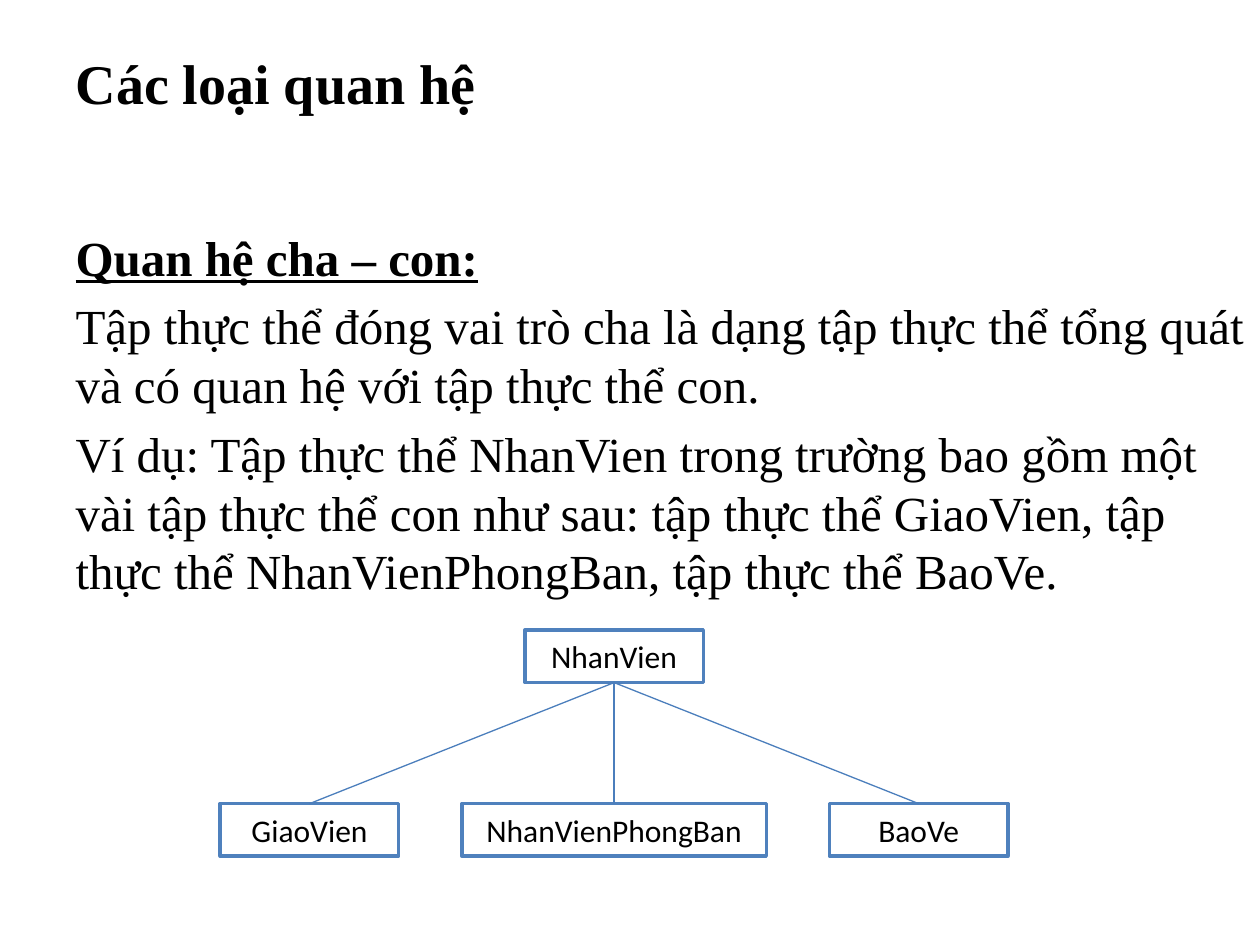
from lxml import etree
from pptx import Presentation
from pptx.dml.color import RGBColor
from pptx.enum.shapes import MSO_CONNECTOR, MSO_SHAPE
from pptx.enum.text import MSO_ANCHOR, MSO_AUTO_SIZE, PP_ALIGN
from pptx.oxml.ns import qn
from pptx.util import Cm, Pt

BLACK = RGBColor(0x00, 0x00, 0x00)
WHITE = RGBColor(0xFF, 0xFF, 0xFF)
BOX_BLUE = RGBColor(0x4F, 0x81, 0xBD)
LINE_BLUE = RGBColor(0x4B, 0x7E, 0xBC)

RECTANGLE = MSO_SHAPE.RECTANGLE
STRAIGHT = MSO_CONNECTOR.STRAIGHT
TOP, MIDDLE = MSO_ANCHOR.TOP, MSO_ANCHOR.MIDDLE
LEFT, CENTER = PP_ALIGN.LEFT, PP_ALIGN.CENTER
NO_AUTOFIT = MSO_AUTO_SIZE.NONE

SERIF, SANS = "Times New Roman", "Calibri"
BOX_HEIGHT = 1.06
PARENT_TOP, CHILD_TOP = 12.7, 16.2
TREE_CENTER, CHILD_STEP = 12.38, 6.14
BOTTOM_SITE, TOP_SITE = 2, 0

HEADING = "Quan hệ cha – con:"
SENTENCES = [
    "Tập thực thể đóng vai trò cha là dạng tập thực thể tổng quát "
    "và có quan hệ với tập thực thể con.",
    "Ví dụ: Tập thực thể NhanVien trong trường bao gồm một vài tập thực thể "
    "con như sau: tập thực thể GiaoVien, tập thực thể NhanVienPhongBan, "
    "tập thực thể BaoVe.",
]
CHILDREN = [("GiaoVien", 3.6), ("NhanVienPhongBan", 6.14), ("BaoVe", 3.6)]


def write(paragraph, text, size, font=SERIF, bold=False, underline=False,
          align=LEFT, before=0):
    paragraph.text = text
    paragraph.alignment = align
    paragraph.space_before = Pt(before)
    paragraph.font.name = font
    paragraph.font.size = Pt(size)
    paragraph.font.bold = bold
    paragraph.font.underline = underline
    paragraph.font.color.rgb = BLACK


def remove_bullet(paragraph):
    properties = paragraph._p.get_or_add_pPr()
    properties.set("marL", "0")
    properties.set("indent", "0")
    etree.SubElement(properties, qn("a:buNone"))


def place(shape, left, top, width, height):
    shape.left, shape.top = Cm(left), Cm(top)
    shape.width, shape.height = Cm(width), Cm(height)
    shape.text_frame.auto_size = NO_AUTOFIT
    shape.text_frame.vertical_anchor = TOP


def fill_title(title):
    place(title, 1.27, 0.76, 22.86, 3.18)
    title.text_frame.margin_top = Cm(0.22)
    write(title.text_frame.paragraphs[0], "Các loại quan hệ", 32, bold=True)


def fill_body(body):
    place(body, 1.27, 4.45, 24.13, 14.6)
    frame = body.text_frame
    heading = frame.paragraphs[0]
    remove_bullet(heading)
    write(heading, HEADING, 28, bold=True, underline=True)
    for sentence in SENTENCES:
        paragraph = frame.add_paragraph()
        remove_bullet(paragraph)
        write(paragraph, sentence, 28, before=5.6)


def add_entity(slide, name, center, top, width):
    box = slide.shapes.add_shape(RECTANGLE, Cm(center - width / 2), Cm(top),
                                 Cm(width), Cm(BOX_HEIGHT))
    box.shadow.inherit = False
    box.fill.solid()
    box.fill.fore_color.rgb = WHITE
    box.line.color.rgb = BOX_BLUE
    box.line.width = Pt(2)
    box.text_frame.vertical_anchor = MIDDLE
    write(box.text_frame.paragraphs[0], name, 18, font=SANS, align=CENTER)
    return box


def join(slide, parent, child):
    connector = slide.shapes.add_connector(STRAIGHT, 0, 0, 0, 0)
    connector.begin_connect(parent, BOTTOM_SITE)
    connector.end_connect(child, TOP_SITE)
    connector.line.color.rgb = LINE_BLUE
    connector.line.width = Pt(0.75)
    etree.SubElement(connector._element.spPr, qn("a:effectLst"))


def main():
    presentation = Presentation()
    presentation.slide_width, presentation.slide_height = Cm(25.4), Cm(19.05)
    slide = presentation.slides.add_slide(presentation.slide_layouts[1])

    # Title and explanation
    fill_title(slide.shapes.title)
    fill_body(slide.placeholders[1])

    # Parent entity with its children
    parent = add_entity(slide, "NhanVien", TREE_CENTER, PARENT_TOP, 3.6)
    for index, (name, width) in enumerate(CHILDREN):
        center = TREE_CENTER + (index - 1) * CHILD_STEP
        child = add_entity(slide, name, center, CHILD_TOP, width)
        join(slide, parent, child)

    presentation.save("out.pptx")


if __name__ == "__main__":
    main()
